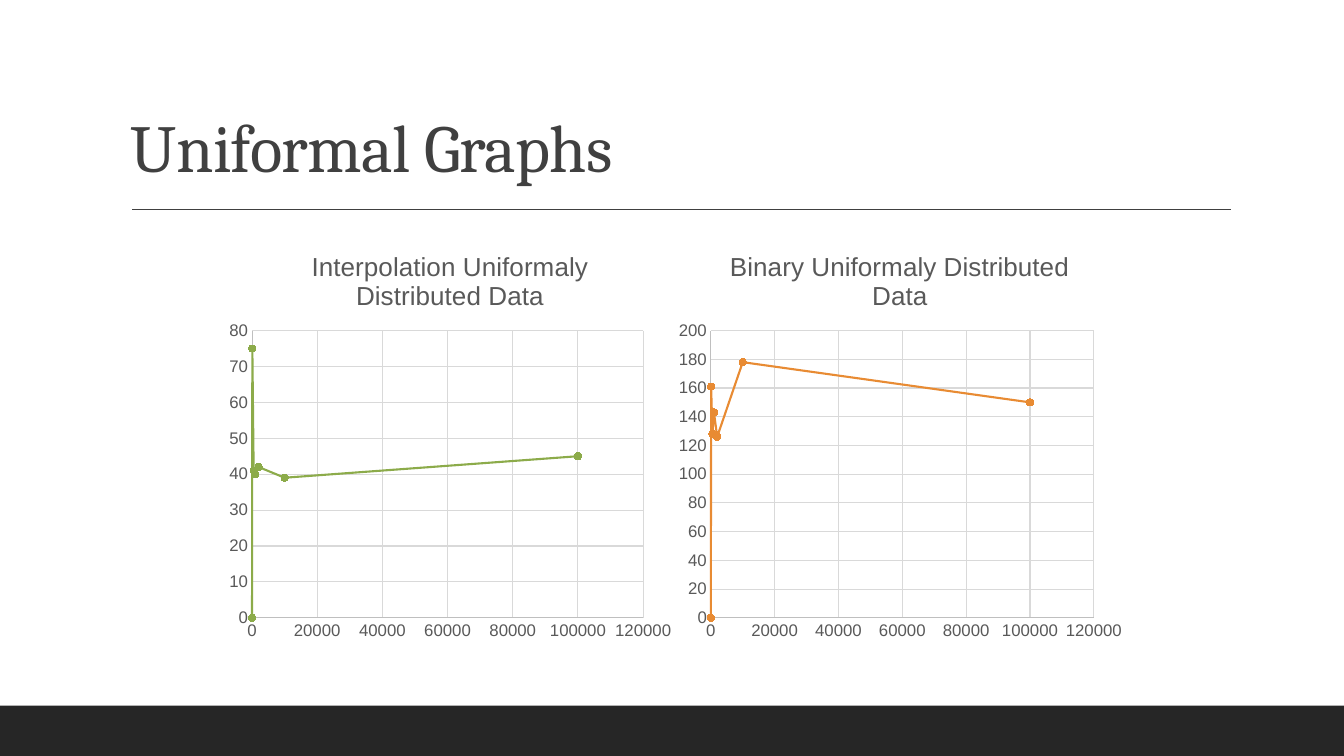
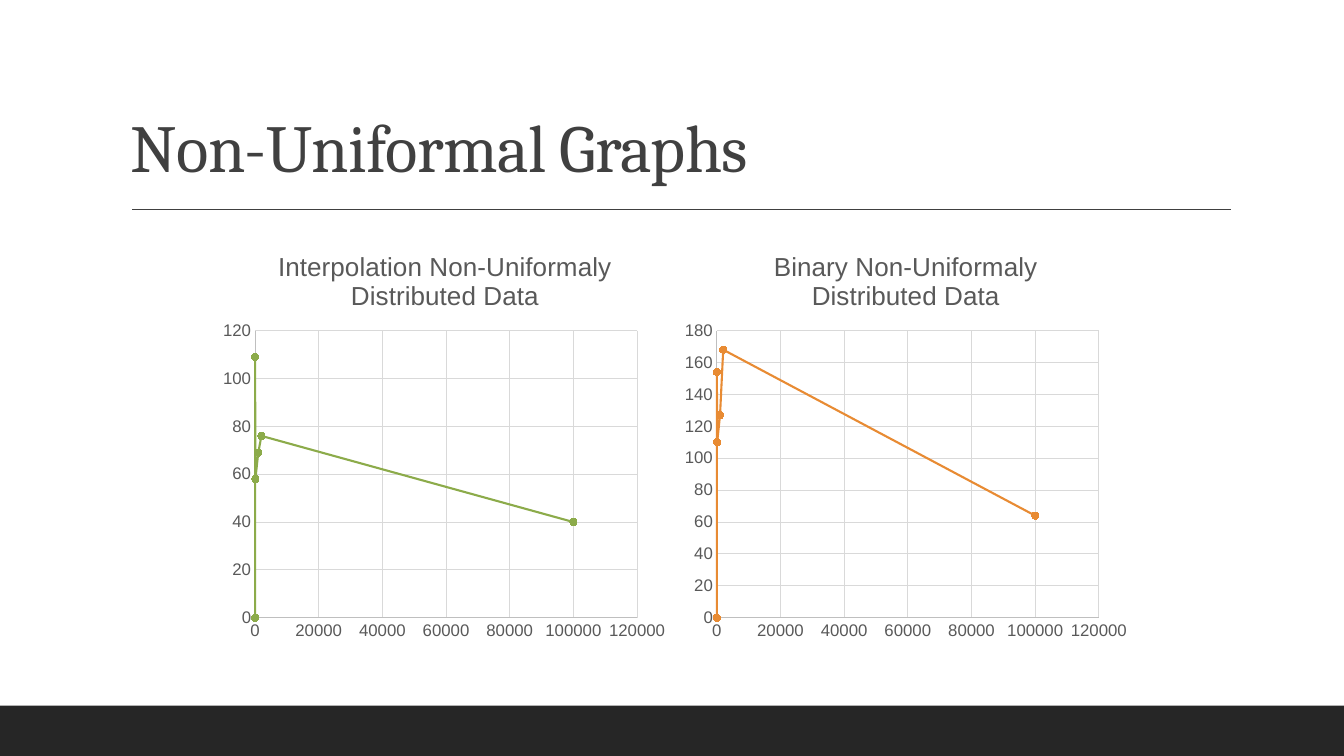
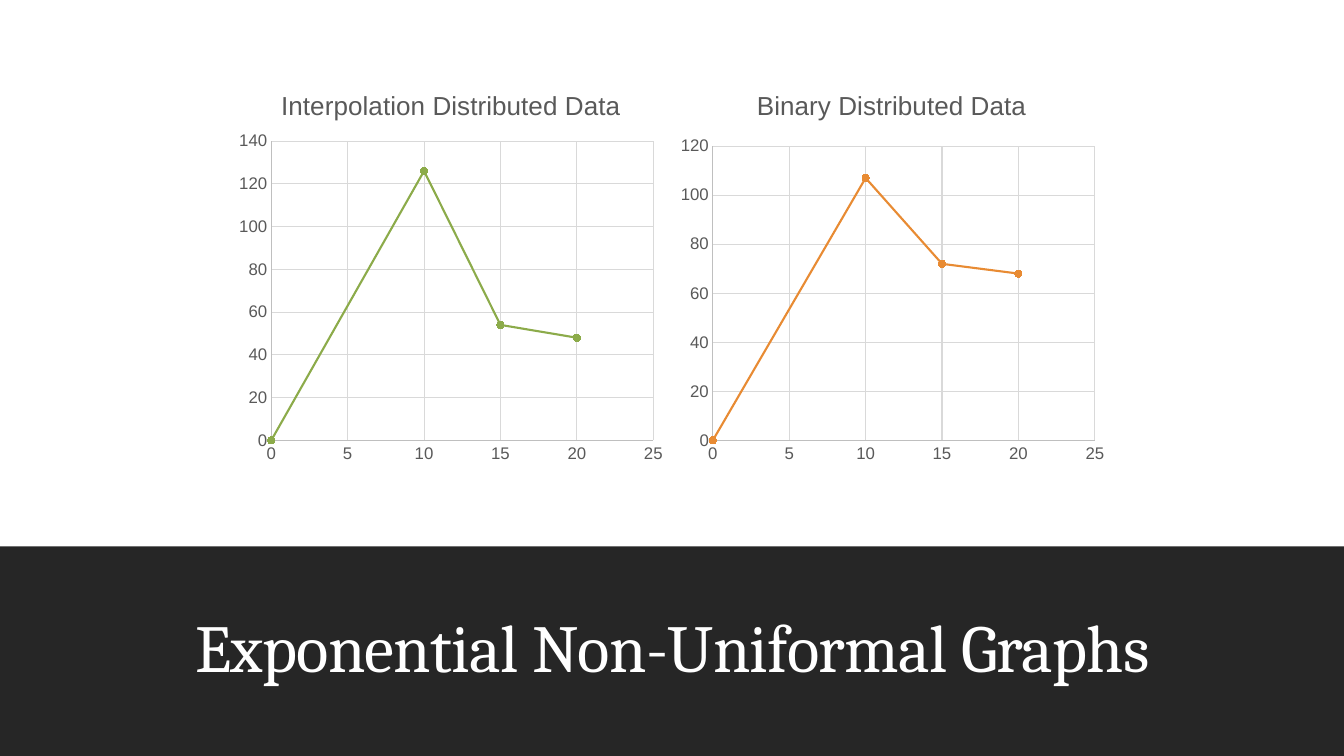
"""Build three slides of search timing graphs."""
from dataclasses import dataclass

from lxml.etree import SubElement
from pptx import Presentation
from pptx.chart.data import XyChartData
from pptx.dml.color import RGBColor
from pptx.enum.chart import XL_CHART_TYPE, XL_MARKER_STYLE, XL_TICK_MARK
from pptx.enum.shapes import MSO_CONNECTOR, MSO_SHAPE
from pptx.enum.text import MSO_ANCHOR, PP_ALIGN
from pptx.oxml.ns import qn
from pptx.util import Inches, Pt


@dataclass(frozen=True)
class Theme:
    dark: RGBColor = RGBColor(0x26, 0x26, 0x26)
    ink: RGBColor = RGBColor(0x40, 0x40, 0x40)
    gray: RGBColor = RGBColor(0x59, 0x59, 0x59)
    edge: RGBColor = RGBColor(0xBF, 0xBF, 0xBF)
    grid: RGBColor = RGBColor(0xD9, 0xD9, 0xD9)
    white: RGBColor = RGBColor(0xFF, 0xFF, 0xFF)
    green: RGBColor = RGBColor(0x8C, 0xAB, 0x4A)
    amber: RGBColor = RGBColor(0xE8, 0x8B, 0x33)
    serif: str = "Cambria"
    sans: str = "Arial"
    head: float = 48
    label: float = 12
    name: float = 18.6


@dataclass(frozen=True)
class Box:
    left: float
    top: float
    width: float
    height: float

    def place(self) -> tuple:
        return tuple(map(Inches, (self.left, self.top, self.width, self.height)))


@dataclass(frozen=True)
class Graph:
    title: str
    color: RGBColor
    box: Box
    plot: Box
    vals: tuple
    top: int
    step: int


@dataclass(frozen=True)
class Page:
    title: str
    xs: tuple
    end: int
    step: int
    graphs: tuple
    closing: bool = False


THEME = Theme()
WIDE = 13.33
PAGES = (
    Page("Uniformal Graphs", (0, 100, 500, 1000, 2000, 10000, 100000), 120000, 20000, (
        Graph("Binary Uniformaly Distributed Data", THEME.amber,
              Box(6.64, 2.29, 4.57, 4.14), Box(7.05, 3.28, 3.8, 2.85),
              (0, 161, 128, 143, 126, 178, 150), 200, 20),
        Graph("Interpolation Uniformaly Distributed Data", THEME.green,
              Box(2.18, 2.29, 4.57, 4.14), Box(2.5, 3.28, 3.88, 2.85),
              (0, 75, 41, 40, 42, 39, 45), 80, 10))),
    Page("Non-Uniformal Graphs", (0, 10, 100, 1000, 2000, 100000), 120000, 20000, (
        Graph("Interpolation Non-Uniformaly Distributed Data", THEME.green,
              Box(2.13, 2.29, 4.57, 4.14), Box(2.53, 3.28, 3.79, 2.85),
              (0, 109, 58, 69, 76, 40), 120, 20),
        Graph("Binary Non-Uniformaly Distributed Data", THEME.amber,
              Box(6.7, 2.29, 4.57, 4.14), Box(7.11, 3.28, 3.79, 2.85),
              (0, 154, 110, 127, 168, 64), 180, 20))),
    Page("Exponential Non-Uniformal Graphs", (0, 10, 15, 20), 25, 5, (
        Graph("Interpolation Distributed Data", THEME.green,
              Box(2.29, 0.7, 4.37, 3.96), Box(2.69, 1.4, 3.79, 2.97),
              (0, 126, 54, 48), 140, 20),
        Graph("Binary Distributed Data", THEME.amber,
              Box(6.66, 0.7, 4.37, 3.96), Box(7.07, 1.45, 3.79, 2.92),
              (0, 107, 72, 68), 120, 20)), True),
)


def add_band(slide, top: float) -> None:
    box = Box(0, top, WIDE, 7.5 - top)
    band = slide.shapes.add_shape(MSO_SHAPE.RECTANGLE, *box.place())
    band.shadow.inherit = False
    band.fill.solid()
    band.fill.fore_color.rgb = THEME.dark
    band.line.fill.background()


def add_rule(slide) -> None:
    rule = slide.shapes.add_connector(
        MSO_CONNECTOR.STRAIGHT, Inches(1.31), Inches(2.08), Inches(12.21), Inches(2.08))
    rule.line.color.rgb = THEME.ink
    rule.line.width = Pt(1)
    SubElement(rule.element.spPr, qn("a:effectLst"))


def add_title(slide, text: str, box: Box, color: RGBColor, align: PP_ALIGN) -> None:
    frame = slide.shapes.add_textbox(*box.place()).text_frame
    frame.word_wrap = True
    frame.vertical_anchor = MSO_ANCHOR.BOTTOM
    frame.text = text
    para = frame.paragraphs[0]
    para.alignment = align
    para.line_spacing = 0.9
    para.space_after = Pt(6)
    run = para.runs[0]
    run.font.name = THEME.serif
    run.font.size = Pt(THEME.head)
    run.font.color.rgb = color
    run.font._element.set("spc", "-50")


def set_axis(axis, top: int, step: int) -> None:
    axis.minimum_scale = 0
    axis.maximum_scale = top
    axis.major_unit = step
    axis.major_tick_mark = axis.minor_tick_mark = XL_TICK_MARK.NONE
    axis.has_major_gridlines = True
    for line, color in ((axis.format.line, THEME.edge),
                        (axis.major_gridlines.format.line, THEME.grid)):
        line.color.rgb = color
        line.width = Pt(0.75)
    font = axis.tick_labels.font
    font.size = Pt(THEME.label)
    font.name = THEME.sans
    font.color.rgb = THEME.gray


def set_plot(chart, box: Box, plot: Box) -> None:
    area = chart.element.find(".//" + qn("c:plotArea"))
    for old in area.findall(qn("c:layout")):
        area.remove(old)
    layout = SubElement(area, qn("c:layout"))
    area.insert(0, layout)
    manual = SubElement(layout, qn("c:manualLayout"))
    parts = (("layoutTarget", "inner"), ("xMode", "edge"), ("yMode", "edge"),
             ("x", (plot.left - box.left) / box.width),
             ("y", (plot.top - box.top) / box.height),
             ("w", plot.width / box.width), ("h", plot.height / box.height))
    for tag, val in parts:
        SubElement(manual, qn(f"c:{tag}")).set("val", str(val))


def add_graph(slide, page: Page, graph: Graph) -> None:
    data = XyChartData()
    points = data.add_series("Series 1")
    for x, y in zip(page.xs, graph.vals):
        points.add_data_point(x, y)
    chart = slide.shapes.add_chart(
        XL_CHART_TYPE.XY_SCATTER_SMOOTH, *graph.box.place(), data).chart
    chart.font.name = THEME.sans
    chart.font.size = Pt(10)
    chart.has_legend = False
    chart.has_title = True
    chart.chart_title.include_in_layout = False
    frame = chart.chart_title.text_frame
    frame.text = graph.title
    font = frame.paragraphs[0].runs[0].font
    font.name = THEME.sans
    font.size = Pt(THEME.name)
    font.bold = False
    font.color.rgb = THEME.gray
    set_axis(chart.category_axis, page.end, page.step)
    set_axis(chart.value_axis, graph.top, graph.step)
    set_plot(chart, graph.box, graph.plot)
    chart.plots[0].vary_by_categories = False
    curve = chart.plots[0].series[0]
    curve.smooth = True
    curve.format.line.color.rgb = graph.color
    curve.format.line.width = Pt(1.5)
    curve.marker.style = XL_MARKER_STYLE.CIRCLE
    curve.marker.size = 5
    curve.marker.format.fill.solid()
    curve.marker.format.fill.fore_color.rgb = graph.color
    curve.marker.format.line.color.rgb = graph.color


def add_page(deck, page: Page) -> None:
    slide = deck.slides.add_slide(deck.slide_layouts[6])
    if page.closing:
        add_band(slide, 5.42)
        add_title(slide, page.title, Box(1.17, 5.74, 11, 1.13), THEME.white, PP_ALIGN.CENTER)
    else:
        add_band(slide, 7)
        add_rule(slide)
        add_title(slide, page.title, Box(1.2, 0.31, 11, 1.59), THEME.ink, PP_ALIGN.LEFT)
    for graph in page.graphs:
        add_graph(slide, page, graph)


def main() -> None:
    deck = Presentation()
    deck.slide_width = Inches(WIDE)
    deck.slide_height = Inches(7.5)
    for page in PAGES:
        add_page(deck, page)
    deck.save("out.pptx")


if __name__ == "__main__":
    main()
